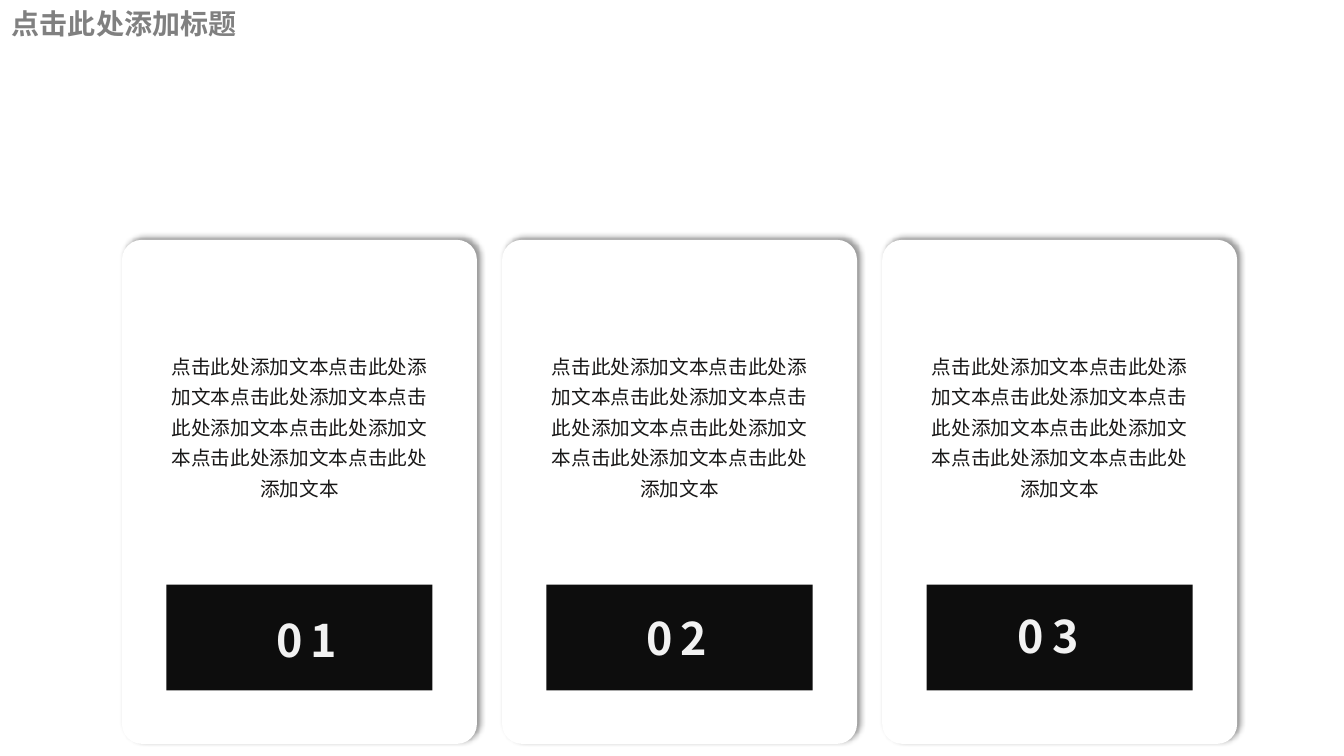
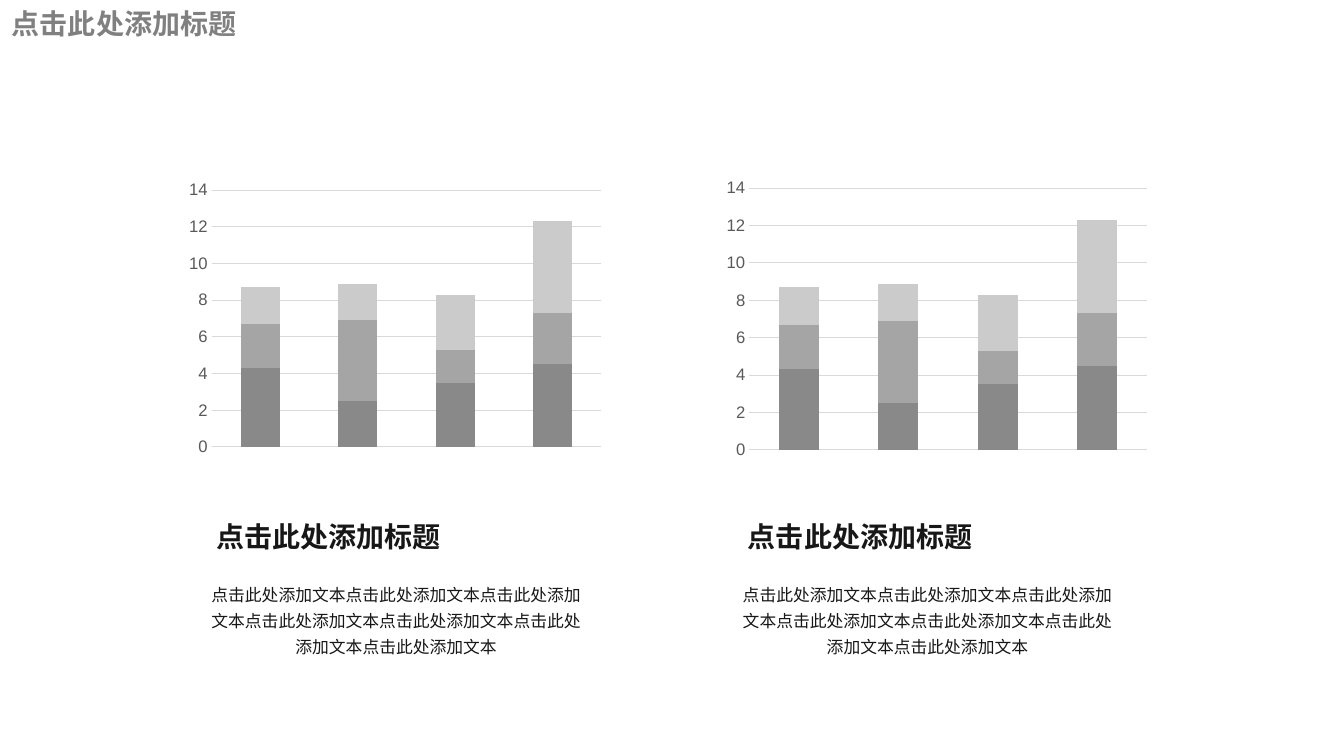
from dataclasses import dataclass

import lxml.etree
import pptx
import pptx.chart.data
import pptx.dml.color
import pptx.enum.chart
import pptx.enum.shapes
import pptx.enum.text
import pptx.oxml.ns
import pptx.slide
import pptx.util

# Shared measures and styles
PX = 9144  # EMU per px: 100 px to the inch
TEXT_FONT = "Noto Sans CJK SC"
CHART_FONT = "Arial"
WHITE, BLACK, INK = "FFFFFF", "0D0D0D", "181717"
TITLE_GREY, NUMBER_GREY = "808080", "F2F2F2"
AXIS_GREY, GRID_GREY = "595959", "D9D9D9"
TITLE = "点击此处添加标题"
BODY = "点击此处添加文本" * 7

ROUNDED = pptx.enum.shapes.MSO_SHAPE.ROUNDED_RECTANGLE
RECTANGLE = pptx.enum.shapes.MSO_SHAPE.RECTANGLE

CATEGORIES = ["1", "2", "3", "4"]
SERIES = [
    ("Series 1", [4.3, 2.5, 3.5, 4.5], "898989"),
    ("Series 2", [2.4, 4.4, 1.8, 2.8], "A5A5A5"),
    ("Series 3", [2, 2, 3, 5], "CBCBCB"),
]


@dataclass(frozen=True)
class Box:
    left: int
    top: int
    width: int
    height: int

    def emu(self) -> list[int]:
        return [side * PX for side in (self.left, self.top, self.width, self.height)]


@dataclass(frozen=True)
class TextStyle:
    size: int
    color: str
    bold: bool = False
    centred: bool = False
    line_spacing: float | None = None
    letter_spacing: int = 0
    margins: tuple[int, int] = (10, 5)  # horizontal, vertical


@dataclass(frozen=True)
class Card:
    number: str
    left: int
    number_left: int
    number_top: int


@dataclass(frozen=True)
class ChartColumn:
    chart: Box
    text_left: int


SLIDE_TITLE = TextStyle(20, TITLE_GREY, bold=True)
HEADING = TextStyle(20, INK, bold=True)
CARD_NUMBER = TextStyle(32, NUMBER_GREY, bold=True, letter_spacing=6)
CARD_BODY = TextStyle(14, INK, centred=True, line_spacing=1.3)
CHART_BODY = TextStyle(12, INK, centred=True, line_spacing=1.3, margins=(7, 4))

CARDS = [
    Card("01", 121, 264, 603),
    Card("02", 498, 631, 601),
    Card("03", 875, 999, 599),
]
CHART_COLUMNS = [
    ChartColumn(Box(179, 174, 426, 284), 198),
    ChartColumn(Box(712, 172, 434, 289), 725),
]


def rgb(color: str) -> pptx.dml.color.RGBColor:
    return pptx.dml.color.RGBColor.from_string(color)


def add_child(parent: lxml.etree._Element, tag: str, **attributes: str) -> lxml.etree._Element:
    return lxml.etree.SubElement(parent, pptx.oxml.ns.qn(tag), attributes)


def add_text(slide: pptx.slide.Slide, box: Box, text: str, style: TextStyle) -> None:
    text_frame = slide.shapes.add_textbox(*box.emu()).text_frame
    text_frame.word_wrap = True
    text_frame.auto_size = pptx.enum.text.MSO_AUTO_SIZE.SHAPE_TO_FIT_TEXT
    horizontal, vertical = style.margins
    text_frame.margin_left = text_frame.margin_right = horizontal * PX
    text_frame.margin_top = text_frame.margin_bottom = vertical * PX
    text_frame.text = text
    paragraph = text_frame.paragraphs[0]
    if style.centred:
        paragraph.alignment = pptx.enum.text.PP_ALIGN.CENTER
    if style.line_spacing:
        paragraph.line_spacing = style.line_spacing
    run = paragraph.runs[0]
    run.font.size = pptx.util.Pt(style.size)
    run.font.bold = style.bold
    run.font.color.rgb = rgb(style.color)
    run.font.name = TEXT_FONT
    properties = run._r.get_or_add_rPr()
    add_child(properties, "a:ea", typeface=TEXT_FONT)
    if style.letter_spacing:
        properties.set("spc", str(style.letter_spacing * 100))


def add_block(slide: pptx.slide.Slide, box: Box, color: str,
              corner: float = 0, shadow: bool = False) -> None:
    shape = slide.shapes.add_shape(ROUNDED if corner else RECTANGLE, *box.emu())
    if corner:
        shape.adjustments[0] = corner
    shape.fill.solid()
    shape.fill.fore_color.rgb = rgb(color)
    shape.line.fill.background()
    shape.shadow.inherit = False
    if shadow:
        # Soft shadow towards the upper right
        effects = shape._element.spPr.find(pptx.oxml.ns.qn("a:effectLst"))
        outer = add_child(effects, "a:outerShdw", blurRad=str(pptx.util.Pt(4)),
                          dist=str(pptx.util.Pt(3)), dir=str(315 * 60000),
                          algn="bl", rotWithShape="0")
        add_child(add_child(outer, "a:srgbClr", val="000000"), "a:alpha", val="40000")


def add_card(slide: pptx.slide.Slide, card: Card) -> None:
    add_block(slide, Box(card.left, 238, 352, 500), WHITE, corner=0.056, shadow=True)
    for tab_offset in (39, 293):
        add_block(slide, Box(card.left + tab_offset, 568, 18, 126), WHITE, corner=0.5)
    add_block(slide, Box(card.left + 44, 580, 264, 105), BLACK)
    add_text(slide, Box(card.number_left, card.number_top, 98, 64), card.number, CARD_NUMBER)
    add_text(slide, Box(card.left + 32, 340, 288, 163), BODY, CARD_BODY)


def add_stacked_chart(slide: pptx.slide.Slide, box: Box) -> None:
    data = pptx.chart.data.CategoryChartData()
    data.categories = CATEGORIES
    for name, values, _ in SERIES:
        data.add_series(name, values)
    chart = slide.shapes.add_chart(
        pptx.enum.chart.XL_CHART_TYPE.COLUMN_STACKED, *box.emu(), data).chart
    chart.has_legend = False
    chart.has_title = False
    chart.font.name = CHART_FONT
    chart.font.size = pptx.util.Pt(10)
    chart.font.color.rgb = rgb("000000")

    plot = chart.plots[0]
    plot.vary_by_categories = False
    plot.gap_width, plot.overlap = 150, 100
    for series, (_, _, color) in zip(plot.series, SERIES):
        series.format.fill.solid()
        series.format.fill.fore_color.rgb = rgb(color)

    chart.category_axis.visible = False
    axis = chart.value_axis
    axis.minimum_scale, axis.maximum_scale, axis.major_unit = 0, 14, 2
    axis.major_tick_mark = pptx.enum.chart.XL_TICK_MARK.NONE
    axis.minor_tick_mark = pptx.enum.chart.XL_TICK_MARK.NONE
    axis.format.line.fill.background()
    axis.major_gridlines.format.line.color.rgb = rgb(GRID_GREY)
    axis.major_gridlines.format.line.width = pptx.util.Pt(0.75)
    axis.tick_labels.font.name = CHART_FONT
    axis.tick_labels.font.size = pptx.util.Pt(11.9)
    axis.tick_labels.font.color.rgb = rgb(AXIS_GREY)


def add_chart_column(slide: pptx.slide.Slide, column: ChartColumn) -> None:
    add_stacked_chart(slide, column.chart)
    add_text(slide, Box(column.text_left + 7, 510, 274, 44), TITLE, HEADING)
    add_text(slide, Box(column.text_left, 570, 390, 86), BODY, CHART_BODY)


def add_titled_slide(presentation: pptx.presentation.Presentation) -> pptx.slide.Slide:
    slide = presentation.slides.add_slide(presentation.slide_layouts[6])
    slide.background.fill.solid()
    slide.background.fill.fore_color.rgb = rgb(WHITE)
    add_text(slide, Box(2, 2, 444, 44), TITLE, SLIDE_TITLE)
    return slide


def main() -> None:
    presentation = pptx.Presentation()
    presentation.slide_width = pptx.util.Inches(13.33)
    presentation.slide_height = pptx.util.Inches(7.5)

    # Three numbered cards
    cards_slide = add_titled_slide(presentation)
    for card in CARDS:
        add_card(cards_slide, card)

    # Two charts with captions
    charts_slide = add_titled_slide(presentation)
    for column in CHART_COLUMNS:
        add_chart_column(charts_slide, column)

    presentation.save("out.pptx")


if __name__ == "__main__":
    main()
